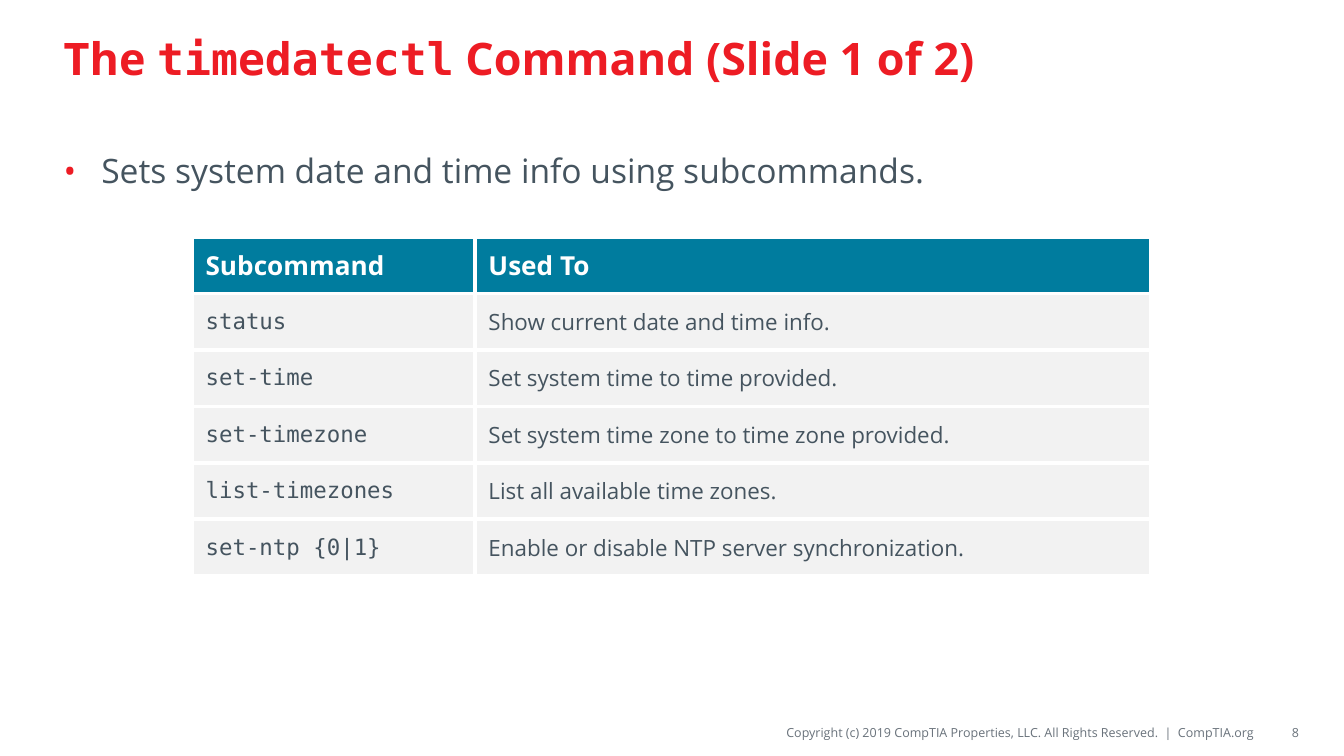
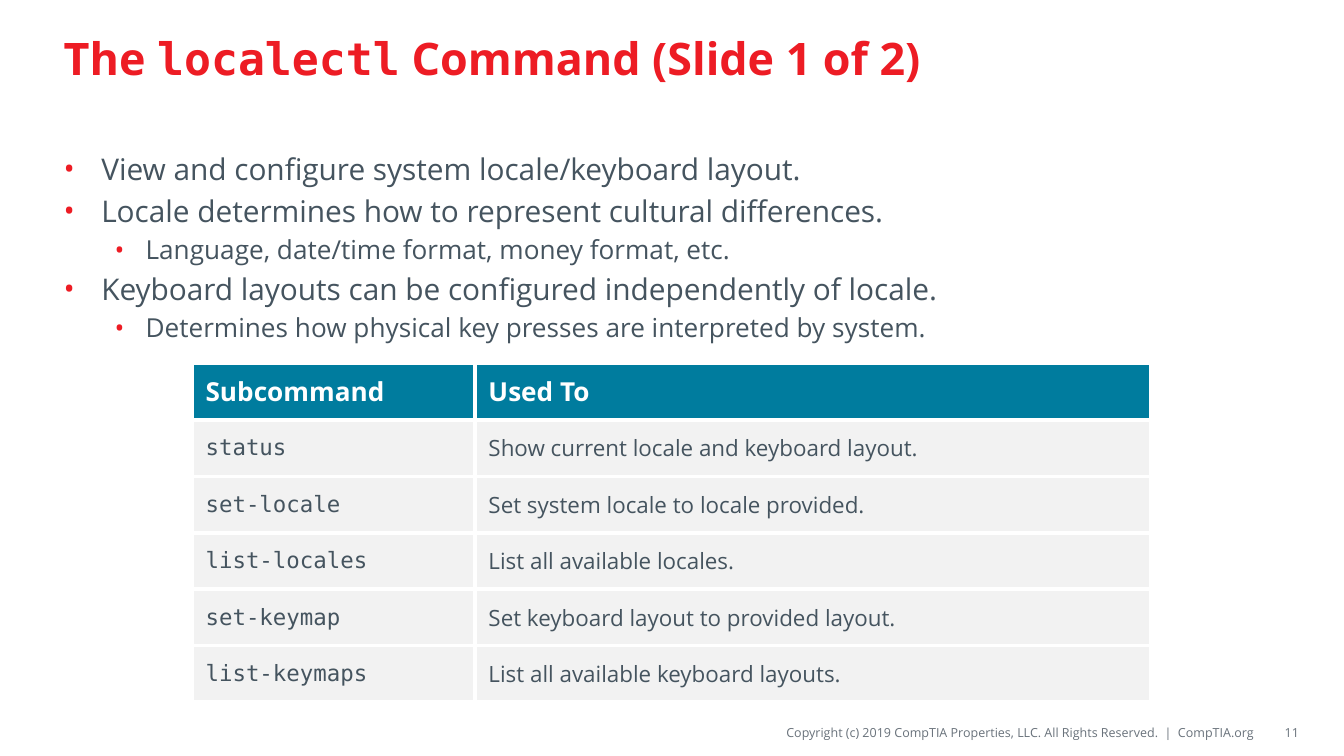
from lxml import etree
from pptx import Presentation
from pptx.dml.color import RGBColor
from pptx.enum.text import MSO_ANCHOR, PP_ALIGN
from pptx.oxml.ns import qn
from pptx.util import Inches, Pt

WIDTH = Inches(10)
HEIGHT = WIDTH * 9 // 16
COLUMN, ROW = WIDTH / 100, HEIGHT / 56.25

MIDDLE, TOP = MSO_ANCHOR.MIDDLE, MSO_ANCHOR.TOP
LEFT, RIGHT = PP_ALIGN.LEFT, PP_ALIGN.RIGHT

SANS, MONO = "Open Sans", "DejaVu Sans Mono"
RED, SLATE, GREY = "ED1C24", "45545F", "69727B"
TEAL, PALE, WHITE = "007C9E", "F2F2F2", "FFFFFF"

TITLE = {"size": 24, "name": SANS, "color": RED, "bold": True}
TITLE_CODE = {**TITLE, "name": MONO}
FOOTER = {"size": 6.75, "name": SANS, "color": GREY, "bold": False}
HEADING = {"size": 14, "name": SANS, "color": WHITE, "bold": True}
ENTRY = {"size": 12, "name": SANS, "color": SLATE, "bold": False}
ENTRY_CODE = {**ENTRY, "name": MONO}

TITLE_BOX = (3.75, 0.8, 92.5, 6.9)
BODY_BOX = (3.75, 10.7, 92.5, 39)
FOOTER_BOX = (38.8, 53.4, 57.85, 2.2)
COPYRIGHT_WIDTH, NUMBER_WIDTH = 54.6, 2.9
TABLE_LEFT, TABLE_WIDTH, LINE_HEIGHT = 14.3, 71.35, 4.2
SUBCOMMAND_WIDTH = 21.05
INDENTS = [(0.28, 0.28), (0.61, 0.23)]
SPACE_BEFORE = 20000
BORDER = Pt(2.25)
BORDER_SIDES = ("a:lnL", "a:lnR", "a:lnT", "a:lnB")

COPYRIGHT = "Copyright (c) 2019 CompTIA Properties, LLC. All Rights Reserved.  |  CompTIA.org"
HEADINGS = ("Subcommand", "Used To")

COMMANDS = [
    {
        "command": "timedatectl",
        "number": 8,
        "body_size": 18,
        "points": [(0, "Sets system date and time info using subcommands.")],
        "table_top": 17.65,
        "subcommands": [
            ("status", "Show current date and time info."),
            ("set-time", "Set system time to time provided."),
            ("set-timezone", "Set system time zone to time zone provided."),
            ("list-timezones", "List all available time zones."),
            ("set-ntp {0|1}", "Enable or disable NTP server synchronization."),
        ],
    },
    {
        "command": "localectl",
        "number": 11,
        "body_size": 16,
        "points": [
            (0, "View and configure system locale/keyboard layout."),
            (0, "Locale determines how to represent cultural differences."),
            (1, "Language, date/time format, money format, etc."),
            (0, "Keyboard layouts can be configured independently of locale."),
            (1, "Determines how physical key presses are interpreted by system."),
        ],
        "table_top": 27.05,
        "subcommands": [
            ("status", "Show current locale and keyboard layout."),
            ("set-locale", "Set system locale to locale provided."),
            ("list-locales", "List all available locales."),
            ("set-keymap", "Set keyboard layout to provided layout."),
            ("list-keymaps", "List all available keyboard layouts."),
        ],
    },
]


def rgb(value):
    """Turn a hex string into a colour."""
    return RGBColor.from_string(value)


def emu(box):
    """Turn a box in grid columns and rows into lengths on the slide."""
    left, top, width, height = box
    return [round(n) for n in (left * COLUMN, top * ROW, width * COLUMN, height * ROW)]


def child(parent, tag, **attributes):
    """Append an XML element with the given attributes."""
    element = etree.SubElement(parent, qn(tag))
    for key, value in attributes.items():
        element.set(key, str(value))
    return element


def add_run(paragraph, text, style):
    """Add a run of text in the given style."""
    run = paragraph.add_run()
    run.text = text
    formats = {**style, "size": Pt(style["size"])}
    run.font.color.rgb = rgb(formats.pop("color"))
    for key, value in formats.items():
        setattr(run.font, key, value)


def add_text_frame(slide, box, anchor=MIDDLE, **margins):
    """Add a wrapping text box and return its frame."""
    frame = slide.shapes.add_textbox(*emu(box)).text_frame
    formats = {"word_wrap": True, "vertical_anchor": anchor, **margins}
    for key, value in formats.items():
        setattr(frame, key, value)
    return frame


def add_title(slide, box, command):
    """Write the title with the command name in code type."""
    paragraph = add_text_frame(slide, box).paragraphs[0]
    paragraph.alignment = LEFT
    add_run(paragraph, "The ", TITLE)
    add_run(paragraph, command, TITLE_CODE)
    add_run(paragraph, " Command (Slide 1 of 2)", TITLE)


def add_footer(slide, box, number):
    """Write the copyright line and the slide number along the bottom."""
    left, top, width, height = box
    number_left = left + width - NUMBER_WIDTH
    parts = [
        (COPYRIGHT, left, COPYRIGHT_WIDTH, 0, Inches(0.04)),
        (str(number), number_left, NUMBER_WIDTH, Inches(0.1), Inches(0.05)),
    ]
    for text, part_left, part_width, inset, padding in parts:
        frame = add_text_frame(
            slide, (part_left, top, part_width, height),
            margin_left=inset, margin_right=0, margin_top=padding, margin_bottom=padding)
        frame.paragraphs[0].alignment = RIGHT
        add_run(frame.paragraphs[0], text, FOOTER)


def set_bullet(paragraph, level, first):
    """Give a paragraph its indent, spacing and red bullet."""
    paragraph.level = level
    margin, hanging = INDENTS[level]
    properties = paragraph._p.get_or_add_pPr()
    properties.set("marL", str(Inches(margin)))
    properties.set("indent", str(-Inches(hanging)))
    if not first:
        child(child(properties, "a:spcBef"), "a:spcPct", val=SPACE_BEFORE)
    child(child(properties, "a:buClr"), "a:srgbClr", val=RED)
    child(properties, "a:buFont", typeface=SANS)
    child(properties, "a:buChar", char="•")


def add_points(slide, box, points, size):
    """Write the bulleted points, the second level two points smaller."""
    frame = add_text_frame(slide, box, TOP)
    for index, (level, text) in enumerate(points):
        paragraph = frame.add_paragraph() if index else frame.paragraphs[0]
        set_bullet(paragraph, level, index == 0)
        add_run(paragraph, text, {**ENTRY, "size": size - 2 * level})


def fill_cell(cell, text, style, background):
    """Write one table cell with white borders and a plain fill."""
    properties = cell._tc.get_or_add_tcPr()
    for side in BORDER_SIDES:
        line = child(properties, side, w=BORDER)
        child(child(line, "a:solidFill"), "a:srgbClr", val=WHITE)
    cell.fill.solid()
    cell.fill.fore_color.rgb = rgb(background)
    cell.vertical_anchor = MIDDLE
    add_run(cell.text_frame.paragraphs[0], text, style)


def add_subcommands(slide, box, subcommands):
    """Draw the table of subcommands and their uses."""
    lines = [HEADINGS, *subcommands]
    table = slide.shapes.add_table(len(lines), len(HEADINGS), *emu(box)).table
    table.horz_banding = False
    widths = (SUBCOMMAND_WIDTH, box[2] - SUBCOMMAND_WIDTH)
    for column, width in zip(table.columns, widths):
        column.width = round(width * COLUMN)
    for row, line in enumerate(lines):
        styles = (ENTRY_CODE, ENTRY) if row else (HEADING, HEADING)
        for column, (text, style) in enumerate(zip(line, styles)):
            fill_cell(table.cell(row, column), text, style, PALE if row else TEAL)


def add_command_slide(presentation, content):
    """Build one slide about a command."""
    slide = presentation.slides.add_slide(presentation.slide_layouts[6])
    table_height = LINE_HEIGHT * (len(content["subcommands"]) + 1)
    table_box = (TABLE_LEFT, content["table_top"], TABLE_WIDTH, table_height)
    add_title(slide, TITLE_BOX, content["command"])
    add_footer(slide, FOOTER_BOX, content["number"])
    add_points(slide, BODY_BOX, content["points"], content["body_size"])
    add_subcommands(slide, table_box, content["subcommands"])


def main():
    """Build and save the presentation."""
    presentation = Presentation()
    presentation.slide_width, presentation.slide_height = WIDTH, HEIGHT
    for content in COMMANDS:
        add_command_slide(presentation, content)
    presentation.save("out.pptx")


if __name__ == "__main__":
    main()
